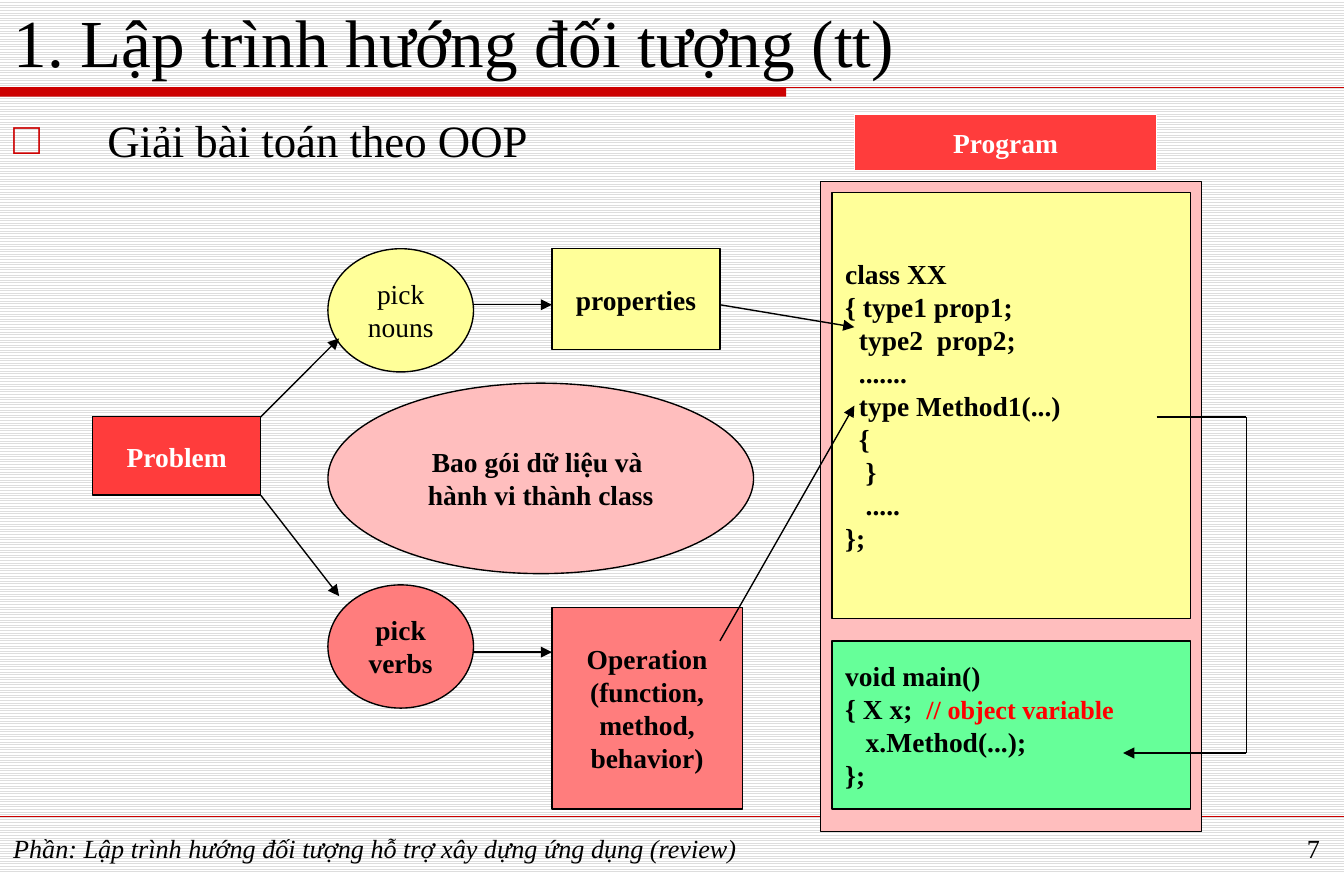
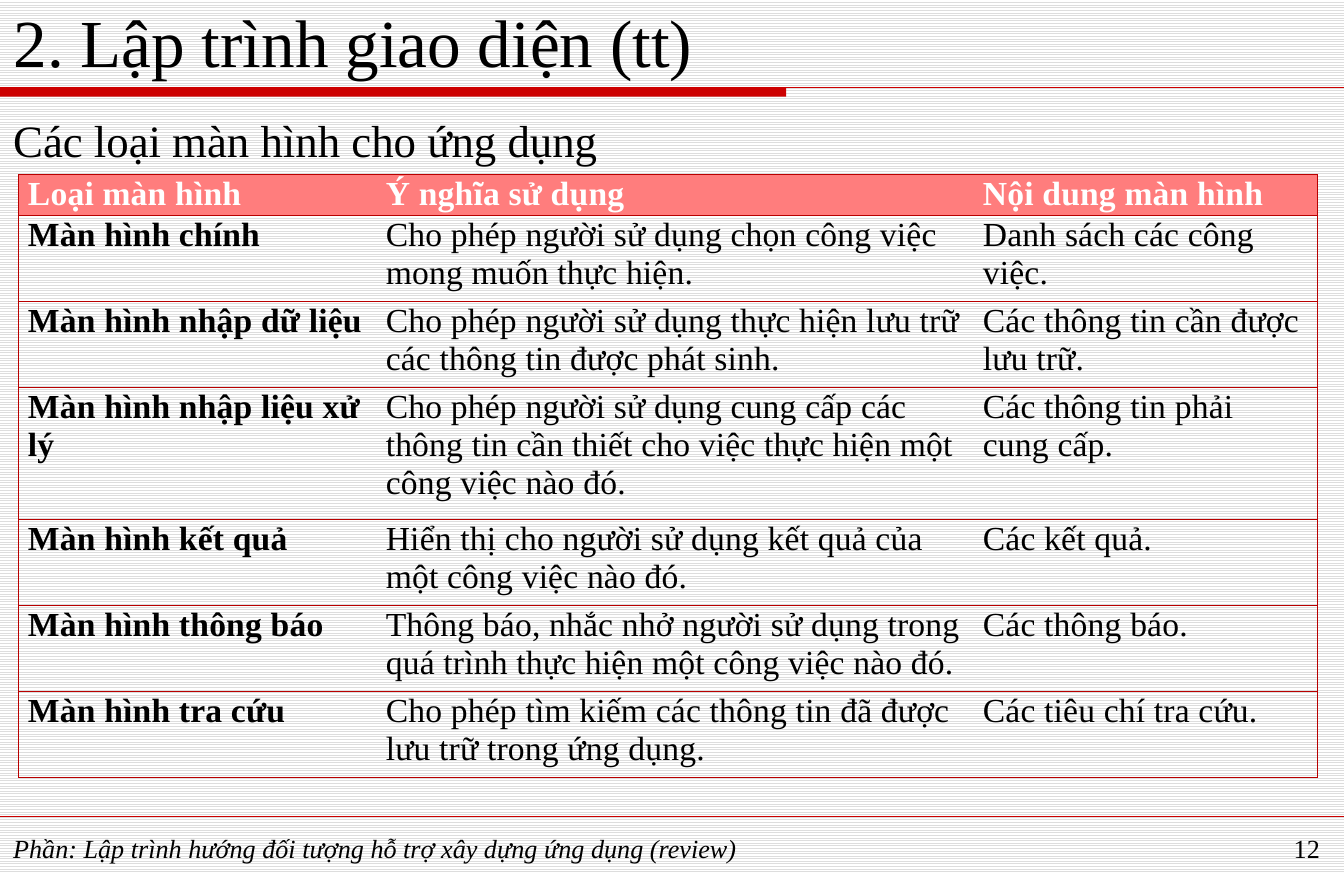
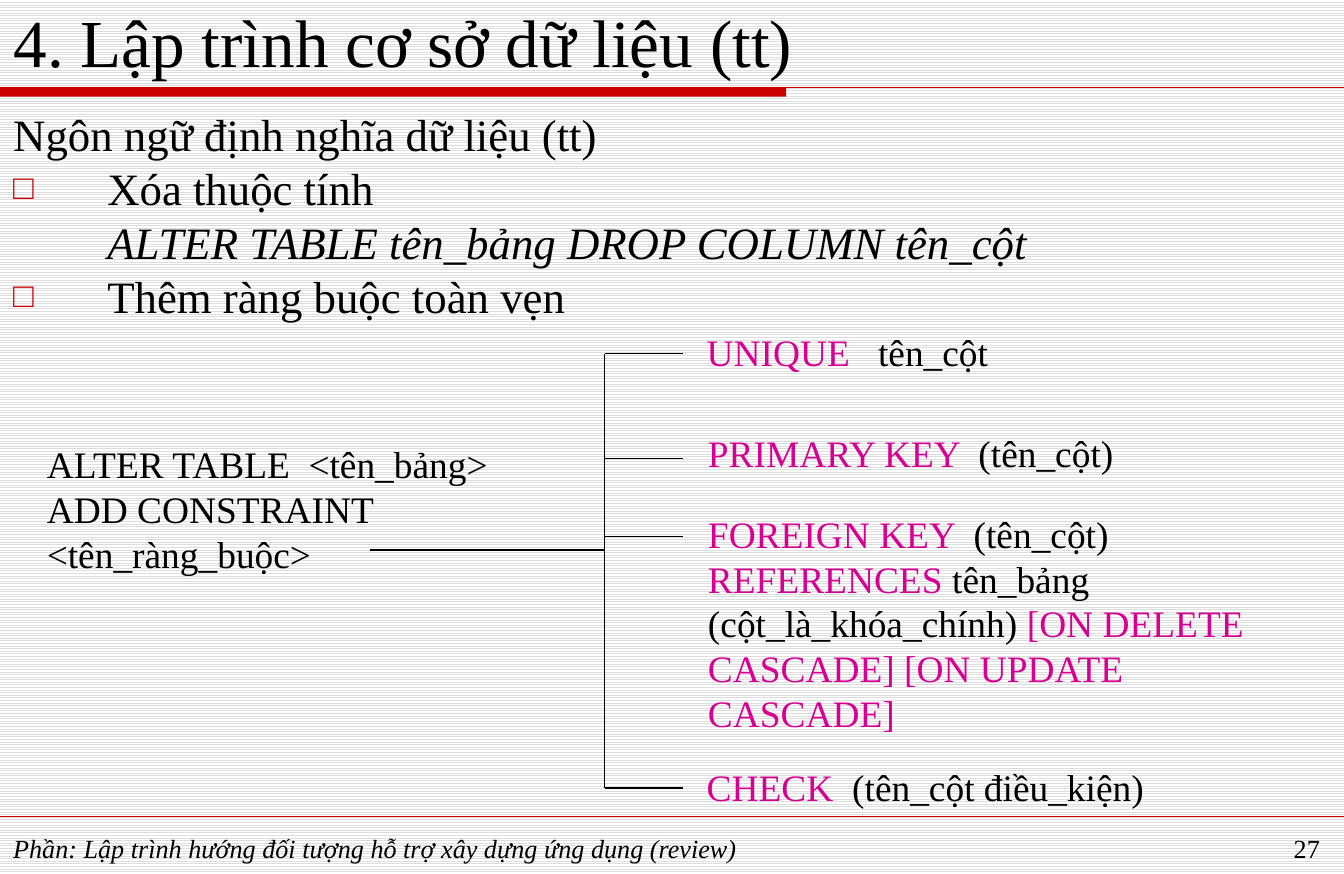
"""Build three lecture slides on objects, screens and database constraints."""
from dataclasses import dataclass
from typing import NamedTuple, Optional

import lxml.etree
import pptx
import pptx.dml.color
import pptx.enum.dml
import pptx.enum.shapes
import pptx.enum.text
import pptx.oxml.ns
import pptx.util

Pt = pptx.util.Pt
qn = pptx.oxml.ns.qn
SHAPE = pptx.enum.shapes.MSO_SHAPE
ALIGN = pptx.enum.text.PP_ALIGN
ANCHOR = pptx.enum.text.MSO_ANCHOR


@dataclass(frozen=True)
class Theme:
    """Colours, type sizes and font of the deck."""
    font: str = "Times New Roman"
    black: str = "000000"
    white: str = "FFFFFF"
    stripe: str = "DDDDDD"
    accent: str = "CC0000"
    border: str = "B90000"
    red: str = "FF3C3C"
    coral: str = "FF7D7D"
    pink: str = "FFBEBE"
    yellow: str = "FFFF99"
    green: str = "66FF99"
    remark: str = "FF0000"
    keyword: str = "D60093"
    title: float = 36
    body: float = 24
    syntax: float = 20
    cell: float = 18
    diagram: float = 14.7
    small: float = 14
    cell_leading: float = 20.4
    body_gap: float = 3
    hanging: float = 50.4


THEME = Theme()
FOOTER = "Phần: Lập trình hướng đối tượng hỗ trợ xây dựng ứng dụng (review)"


class Bounds(NamedTuple):
    """Left, top, width and height in points."""
    left: float
    top: float
    width: float
    height: float

    def lengths(self) -> list:
        """Return the four values as lengths."""
        return [Pt(value) for value in self]


class Span(NamedTuple):
    """Text with the format that sets it apart."""
    text: str
    color: str = THEME.black
    size: Optional[float] = None
    italic: bool = False


class Line(NamedTuple):
    """A paragraph of spans with its indent and bullet size."""
    spans: tuple
    indent: float = 0
    bullet: int = 0


class Node(NamedTuple):
    """A filled box or ellipse of the diagram."""
    bounds: Bounds
    fill: str
    lines: tuple = ()
    kind: SHAPE = SHAPE.RECTANGLE
    bold: bool = True
    align: ALIGN = ALIGN.CENTER
    outline: str = THEME.black


class Link(NamedTuple):
    """A straight line between two points."""
    begin: tuple
    end: tuple
    arrow: bool = False


def plain(*texts: str, color: str = THEME.black) -> tuple:
    """Turn each text into a line of one span."""
    return tuple(Line((Span(text, color),)) for text in texts)


def rgb(color: str) -> pptx.dml.color.RGBColor:
    """Return a colour from its hexadecimal form."""
    return pptx.dml.color.RGBColor.from_string(color)


def add_text(para, text: str, *, size: float, color: str = THEME.black, bold: bool = False,
             italic: bool = False, tracking: int = 0) -> None:
    """Append formatted text to a paragraph."""
    span = para.add_run()
    span.text = text
    font = span.font
    font.name, font.size, font.bold, font.italic = THEME.font, Pt(size), bold, italic
    font.color.rgb = rgb(color)
    if tracking:
        span._r.get_or_add_rPr().set("spc", str(tracking))


def add_bullet(para, percent: int) -> None:
    """Give a paragraph a hanging square bullet."""
    properties = para._p.get_or_add_pPr()
    properties.set("indent", str(-Pt(THEME.hanging)))
    tint = lxml.etree.SubElement(properties, qn("a:buClr"))
    lxml.etree.SubElement(tint, qn("a:srgbClr"), val=THEME.accent)
    lxml.etree.SubElement(properties, qn("a:buSzPct"), val=str(percent * 1000))
    lxml.etree.SubElement(properties, qn("a:buFont"), typeface=THEME.font)
    lxml.etree.SubElement(properties, qn("a:buChar"), char="□")


def fill_frame(frame, lines: tuple, *, size: float, bold: bool = False, align: ALIGN = ALIGN.LEFT,
               gap: float = 0, leading: Optional[float] = None) -> None:
    """Write lines into a text frame."""
    for index, line in enumerate(lines):
        para = frame.paragraphs[0] if index == 0 else frame.add_paragraph()
        para.alignment = align
        para.space_before = Pt(gap)
        if leading:
            para.line_spacing = leading
        if line.indent:
            para._p.get_or_add_pPr().set("marL", str(Pt(line.indent)))
        if line.bullet:
            add_bullet(para, line.bullet)
        for span in line.spans:
            add_text(para, span.text, size=span.size or size, color=span.color,
                     bold=bold, italic=span.italic)


def add_box(page, bounds: Bounds, lines: tuple, **style) -> None:
    """Add a wrapping text box."""
    box = page.shapes.add_textbox(*bounds.lengths())
    box.text_frame.word_wrap = True
    fill_frame(box.text_frame, lines, **style)


def add_body(page, lines: tuple, leading: Optional[float] = None) -> None:
    """Add the main text below the title."""
    add_box(page, Bounds(0, 56.9, 720, 374.4), lines, size=THEME.body,
            gap=THEME.body_gap, leading=leading)


def add_node(page, node: Node) -> None:
    """Draw a node of the diagram."""
    shape = page.shapes.add_shape(node.kind, *node.bounds.lengths())
    shape.shadow.inherit = False
    shape.fill.solid()
    shape.fill.fore_color.rgb = rgb(node.fill)
    shape.line.color.rgb = rgb(node.outline)
    shape.line.width = Pt(0.75)
    frame = shape.text_frame
    frame.word_wrap = False
    frame.vertical_anchor = ANCHOR.MIDDLE
    fill_frame(frame, node.lines, size=THEME.diagram, bold=node.bold, align=node.align)


def add_link(page, link: Link, color: str = THEME.black, width: float = 0.75) -> None:
    """Draw a straight line, with an arrowhead if asked."""
    connector = page.shapes.add_connector(
        pptx.enum.shapes.MSO_CONNECTOR.STRAIGHT,
        *[Pt(value) for value in link.begin + link.end])
    connector.line.color.rgb = rgb(color)
    connector.line.width = Pt(width)
    properties = connector._element.spPr
    if link.arrow:
        lxml.etree.SubElement(properties.find(qn("a:ln")), qn("a:tailEnd"), type="triangle")
    lxml.etree.SubElement(properties, qn("a:effectLst"))


def add_page(deck, title: str, number: int):
    """Add a slide with its title, bands and footer."""
    page = deck.slides.add_slide(deck.slide_layouts[5])
    band = page.shapes.add_shape(SHAPE.RECTANGLE, *Bounds(0, 46.8, 421.2, 5).lengths())
    band.shadow.inherit = False
    band.fill.solid()
    band.fill.fore_color.rgb = rgb(THEME.accent)
    band.line.fill.background()
    add_link(page, Link((0, 46.8), (720, 46.8)), THEME.accent)
    add_link(page, Link((0, 437), (720, 437)), THEME.accent, 0.25)
    heading = page.shapes.title
    heading.left, heading.top, heading.width, heading.height = Bounds(0, 5, 720, 41.8).lengths()
    heading.text_frame.auto_size = pptx.enum.text.MSO_AUTO_SIZE.NONE
    heading.text_frame.vertical_anchor = ANCHOR.BOTTOM
    fill_frame(heading.text_frame, plain(title), size=THEME.title)
    add_box(page, Bounds(0, 442, 588.2, 21), (Line((Span(FOOTER, italic=True),)),),
            size=THEME.small)
    add_box(page, Bounds(642.2, 442, 72, 22.3), plain(str(number)), size=THEME.small,
            align=ALIGN.RIGHT)
    return page


def set_borders(cell, sides: str) -> None:
    """Draw the named sides of a cell and clear the others."""
    properties = cell._tc.get_or_add_tcPr()
    for index, side in enumerate("LRTB"):
        edge = lxml.etree.Element(qn(f"a:ln{side}"), w=str(Pt(0.5)))
        if side in sides:
            paint = lxml.etree.SubElement(edge, qn("a:solidFill"))
            lxml.etree.SubElement(paint, qn("a:srgbClr"), val=THEME.border)
        else:
            lxml.etree.SubElement(edge, qn("a:noFill"))
        properties.insert(index, edge)


def fill_cell(cell, text: str, row: int, column: int, last: int) -> None:
    """Write and format one table cell."""
    header = row == 0
    cell.margin_left = cell.margin_right = Pt(5)
    cell.margin_top = cell.margin_bottom = Pt(0)
    if header:
        cell.fill.solid()
        cell.fill.fore_color.rgb = rgb(THEME.coral)
    else:
        cell.fill.background()
    set_borders(cell, "TB" + "L" * (column == 0) + "R" * (column == last))
    para = cell.text_frame.paragraphs[0]
    para.line_spacing = Pt(THEME.cell_leading)
    add_text(para, text, size=THEME.cell, color=THEME.white if header else THEME.black,
             bold=header or column == 0, tracking=10)


def build_objects(deck) -> None:
    """Build the slide on solving a problem with objects."""
    page = add_page(deck, "1. Lập trình hướng đối tượng (tt)", 7)
    add_body(page, (Line((Span("Giải bài toán theo OOP"),), THEME.hanging, 100),))
    class_code = (
        *plain("class XX", "{ type1 prop1;"),
        *(Line((Span(text),), 7.35) for text in
          ("type2  prop2;", ".......", "type Method1(...)", "{")),
        *(Line((Span(text),), 11) for text in ("}", ".....")),
        *plain("};"))
    main_code = (
        *plain("void main()"),
        Line((Span("{ X x;  "), Span("// object variable", THEME.remark, THEME.small))),
        Line((Span("x.Method(...);"),), 11),
        *plain("};"))
    nodes = (
        Node(Bounds(49.7, 223.2, 90, 42), THEME.red, plain("Problem", color=THEME.white)),
        Node(Bounds(295.7, 133.2, 90, 54), THEME.yellow, plain("properties")),
        Node(Bounds(295.7, 325.2, 102, 108), THEME.coral,
             plain("Operation", "(function,", "method,", "behavior)")),
        Node(Bounds(457.7, 61.2, 162, 30), THEME.red, plain("Program", color=THEME.white),
             outline=THEME.white),
        Node(Bounds(439.7, 97.2, 204, 348), THEME.pink),
        Node(Bounds(445.7, 103.2, 192, 228), THEME.yellow, class_code, align=ALIGN.LEFT),
        Node(Bounds(445.7, 343.2, 192, 90), THEME.green, main_code, align=ALIGN.LEFT),
        Node(Bounds(175.7, 133.2, 78, 66), THEME.yellow, plain("pick", "nouns"),
             SHAPE.OVAL, bold=False),
        Node(Bounds(175.7, 313.2, 78, 66), THEME.coral, plain("pick", "verbs"), SHAPE.OVAL),
        Node(Bounds(175.7, 205.2, 228, 102), THEME.pink,
             plain("Bao gói dữ liệu và ", "hành vi thành class"), SHAPE.OVAL),
    )
    links = (
        Link((139.7, 223.2), (181.7, 181.2), True),
        Link((253.7, 163.2), (295.7, 163.2), True),
        Link((385.7, 163.2), (457.7, 175.2), True),
        Link((139.7, 265.2), (181.7, 319.2), True),
        Link((253.7, 349.2), (295.7, 349.2), True),
        Link((385.7, 343.2), (457.7, 217.2), True),
        Link((667.7, 403.2), (601.7, 403.2), True),
        Link((619.7, 223.2), (667.7, 223.2)),
        Link((667.7, 223.2), (667.7, 403.2)),
    )
    for node in nodes:
        add_node(page, node)
    for link in links:
        add_link(page, link)


def build_screens(deck) -> None:
    """Build the slide with the table of screen types."""
    page = add_page(deck, "2. Lập trình giao diện (tt)", 12)
    add_body(page, plain("Các loại màn hình cho ứng dụng"))
    rows = (
        ("Loại màn hình", "Ý nghĩa sử dụng", "Nội dung màn hình"),
        ("Màn hình chính", "Cho phép người sử dụng chọn công việc mong muốn thực hiện.",
         "Danh sách các công việc."),
        ("Màn hình nhập dữ liệu",
         "Cho phép người sử dụng thực hiện lưu trữ các thông tin được phát sinh.",
         "Các thông tin cần được lưu trữ."),
        ("Màn hình nhập liệu xử lý",
         "Cho phép người sử dụng cung cấp các thông tin cần thiết cho việc thực hiện "
         "một công việc nào đó.", "Các thông tin phải cung cấp."),
        ("Màn hình kết quả", "Hiển thị cho người sử dụng kết quả của một công việc nào đó.",
         "Các kết quả."),
        ("Màn hình thông báo",
         "Thông báo, nhắc nhở người sử dụng trong quá trình thực hiện một công việc nào đó.",
         "Các thông báo."),
        ("Màn hình tra cứu", "Cho phép tìm kiếm các thông tin đã được lưu trữ trong ứng dụng.",
         "Các tiêu chí tra cứu."),
    )
    widths = (191.7, 319.9, 184.4)
    heights = (21.9, 46.1, 46.1, 70.6, 46.1, 46.1, 46.1)
    bounds = Bounds(10, 93.4, sum(widths), sum(heights))
    table = page.shapes.add_table(len(rows), len(widths), *bounds.lengths()).table
    table.first_row = table.horz_banding = False
    for column, width in zip(table.columns, widths):
        column.width = Pt(width)
    for row, (height, texts) in enumerate(zip(heights, rows)):
        table.rows[row].height = Pt(height)
        for column, text in enumerate(texts):
            fill_cell(table.cell(row, column), text, row, column, len(widths) - 1)


def build_constraints(deck) -> None:
    """Build the slide on adding constraints to a database table."""
    page = add_page(deck, "4. Lập trình cơ sở dữ liệu (tt)", 27)
    add_body(page, (
        *plain("Ngôn ngữ định nghĩa dữ liệu (tt)"),
        Line((Span("Xóa thuộc tính"),), THEME.hanging, 76),
        Line((Span("ALTER TABLE tên_bảng DROP COLUMN tên_cột", italic=True),), THEME.hanging),
        Line((Span("Thêm ràng buộc toàn vẹn"),), THEME.hanging, 76),
    ), leading=0.9)
    add_box(page, Bounds(18, 232.6, 306, 103.7),
            plain("ALTER TABLE  <tên_bảng>", "ADD CONSTRAINT <tên_ràng_buộc>"),
            size=THEME.syntax)
    clauses = (
        (Bounds(371.5, 172.8, 240.5, 28.8), 189.4, ("UNIQUE   ", "tên_cột")),
        (Bounds(372.2, 226.8, 305.3, 31), 245.5, ("PRIMARY KEY  ", "(tên_cột)")),
        (Bounds(372.2, 270, 306, 96.5), 287.3,
         ("FOREIGN KEY  ", "(tên_cột)", " REFERENCES ", "tên_bảng (cột_là_khóa_chính)",
          " [ON DELETE CASCADE] [ON UPDATE CASCADE]")),
        (Bounds(371.5, 405.4, 342, 33.8), 421.9, ("CHECK  ", "(tên_cột điều_kiện)")),
    )
    trunk = 324
    for bounds, branch, texts in clauses:
        spans = tuple(Span(text, THEME.black if index % 2 else THEME.keyword)
                      for index, text in enumerate(texts))
        add_box(page, bounds, (Line(spans),), size=THEME.syntax)
        add_link(page, Link((trunk, branch), (365.8, branch)))
    add_link(page, Link((trunk, clauses[0][1]), (trunk, clauses[-1][1])))
    add_link(page, Link((198, 294.5), (trunk, 294.5)))


def main() -> None:
    """Build and save the deck."""
    deck = pptx.Presentation()
    deck.slide_width, deck.slide_height = Pt(720), Pt(468)
    backdrop = deck.slide_master.background.fill
    backdrop.patterned()
    backdrop.pattern = pptx.enum.dml.MSO_PATTERN_TYPE.LIGHT_HORIZONTAL
    backdrop.fore_color.rgb = rgb(THEME.stripe)
    backdrop.back_color.rgb = rgb(THEME.white)
    for build in (build_objects, build_screens, build_constraints):
        build(deck)
    deck.save("out.pptx")


if __name__ == "__main__":
    main()
